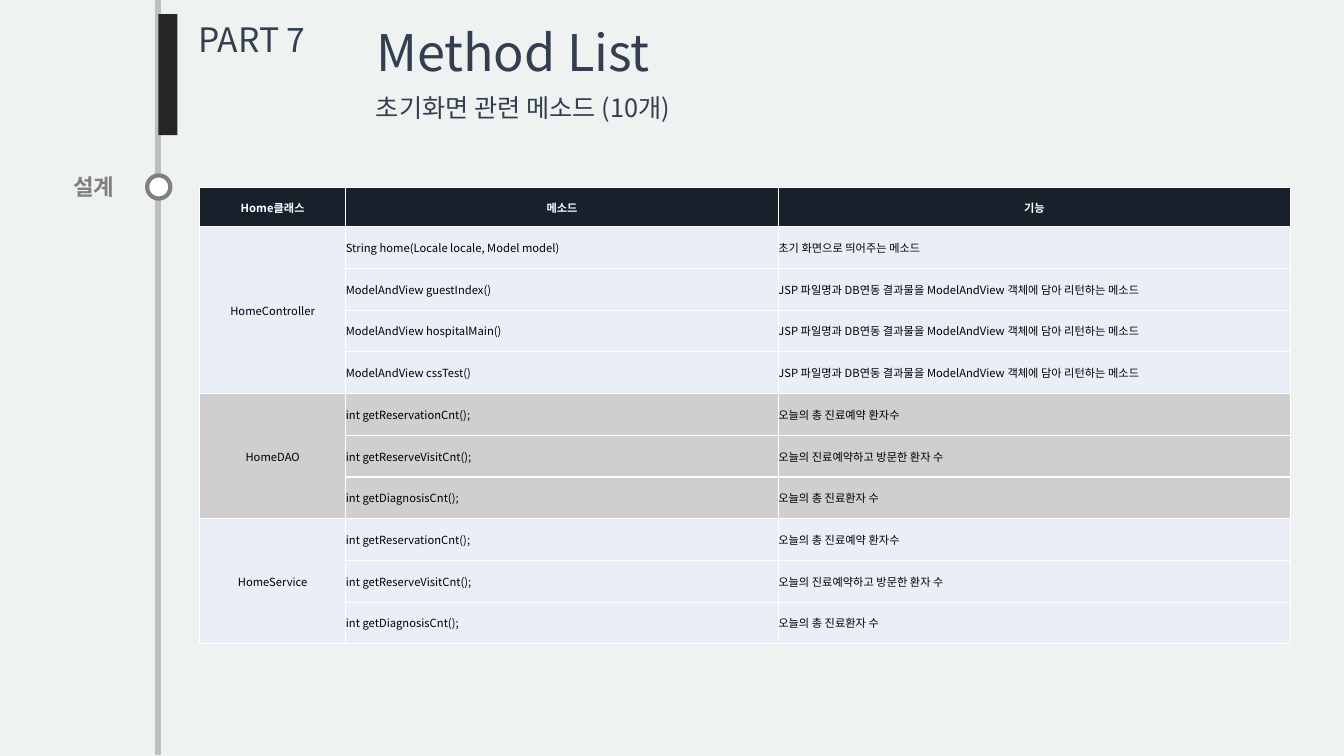
"""Build the Method List slide: a timeline rail, headings and a table of methods per class."""
from lxml import etree
from pptx import Presentation
from pptx import util as u
from pptx.dml.color import RGBColor
from pptx.enum import shapes, text
from pptx.oxml.ns import qn

FONT = "Noto Sans CJK KR"
BACK = RGBColor(0xEE, 0xF2, 0xF0)
RAIL = RGBColor(0xBF, 0xBF, 0xBF)
RING = RGBColor(0x80, 0x80, 0x80)
LABEL = RGBColor(0x7F, 0x7F, 0x7F)
BAR = RGBColor(0x26, 0x26, 0x26)
NAVY = RGBColor(0x33, 0x3F, 0x50)
HEAD = RGBColor(0x18, 0x20, 0x2C)
BLUE = RGBColor(0xEA, 0xEF, 0xF7)
GRAY = RGBColor(0xD0, 0xCE, 0xCE)
WHITE = RGBColor(0xFF, 0xFF, 0xFF)
BLACK = RGBColor(0, 0, 0)

TITLE = ("Method List", (3.63, 0.16, 2.94, 1.31), 36, NAVY, False, False)
LABELS = [
    ("설계", (0.63, 1.67, 0.65, 0.37), 16, LABEL, True, False),
    ("PART 7", (1.87, 0.14, 1.27, 0.5), 24, NAVY, False, False),
    ("초기화면 관련 메소드 (10개)", (3.63, 0.87, 5.13, 0.4), 18, NAVY, False, True),
]
HEADER = ("Home클래스", "메소드", "기능")
VIEW = "JSP 파일명과 DB연동 결과물을 ModelAndView 객체에 담아 리턴하는 메소드"
COUNTS = [
    ("int getReservationCnt();", "오늘의 총 진료예약 환자수"),
    ("int getReserveVisitCnt();", "오늘의 진료예약하고 방문한 환자 수"),
    ("int getDiagnosisCnt();", "오늘의 총 진료환자 수"),
]
CLASSES = [
    ("HomeController", BLUE, [
        ("String home(Locale locale, Model model)", "초기 화면으로 띄어주는 메소드"),
        ("ModelAndView guestIndex()", VIEW),
        ("ModelAndView hospitalMain()", VIEW),
        ("ModelAndView cssTest()", VIEW),
    ]),
    ("HomeDAO", GRAY, COUNTS),
    ("HomeService", BLUE, COUNTS),
]
TABLE_BOX = (1.98, 1.86, 10.83, 4.53)
COLUMNS = (1.45, 4.29, 5.08)
HEAD_ROW = 0.39
RAIL_X = 1.57


def inches(box):
    return [u.Inches(v) for v in box]


def style(p, size, color, bold=False):
    for r in p.runs:
        r.font.size, r.font.bold, r.font.name = u.Pt(size), bold, FONT
        r.font.color.rgb = color
        etree.SubElement(r.font._element, qn("a:ea"), typeface=FONT)


def write(sp, label, box, size, color, bold, wrap):
    sp.left, sp.top, sp.width, sp.height = inches(box)
    tf = sp.text_frame
    tf.text = label
    tf.word_wrap = wrap
    tf.auto_size = text.MSO_AUTO_SIZE.NONE
    tf.vertical_anchor = text.MSO_ANCHOR.TOP
    tf.paragraphs[0].alignment = text.PP_ALIGN.LEFT
    style(tf.paragraphs[0], size, color, bold)


def add_shape(s, kind, box, fill, line=None):
    sp = s.shapes.add_shape(kind, *inches(box))
    sp.shadow.inherit = False
    sp.fill.solid()
    sp.fill.fore_color.rgb = fill
    if line is None:
        sp.line.fill.background()
    else:
        sp.line.color.rgb, sp.line.width = line, u.Pt(3)


def fill_cell(cell, label, fill, color=BLACK, bold=False, centred=False):
    cell.text = label
    cell.vertical_anchor = text.MSO_ANCHOR.MIDDLE
    cell.margin_left = cell.margin_right = cell.margin_top = cell.margin_bottom = 0
    cell.fill.solid()
    cell.fill.fore_color.rgb = fill
    p = cell.text_frame.paragraphs[0]
    p.alignment = text.PP_ALIGN.CENTER if centred else text.PP_ALIGN.LEFT
    style(p, 8, color, bold)
    tc_pr = cell._tc.get_or_add_tcPr()
    for i, side in enumerate(("a:lnL", "a:lnR", "a:lnT", "a:lnB")):
        ln = etree.Element(qn(side), w=str(u.Pt(1)))
        solid = etree.SubElement(ln, qn("a:solidFill"))
        etree.SubElement(solid, qn("a:srgbClr"), val=str(WHITE))
        tc_pr.insert(i, ln)


def add_methods(s):
    count = sum(len(methods) for _, _, methods in CLASSES)
    table = s.shapes.add_table(count + 1, len(COLUMNS), *inches(TABLE_BOX)).table
    for column, width in zip(table.columns, COLUMNS):
        column.width = u.Inches(width)
    for row in table.rows:
        row.height = u.Inches((TABLE_BOX[3] - HEAD_ROW) / count)
    table.rows[0].height = u.Inches(HEAD_ROW)
    for col, label in enumerate(HEADER):
        fill_cell(table.cell(0, col), label, HEAD, WHITE, True, True)
    top = 1
    for name, fill, methods in CLASSES:
        for i, (method, purpose) in enumerate(methods):
            fill_cell(table.cell(top + i, 0), "" if i else name, fill, centred=True)
            fill_cell(table.cell(top + i, 1), method, fill)
            fill_cell(table.cell(top + i, 2), purpose, fill)
        table.cell(top, 0).merge(table.cell(top + len(methods) - 1, 0))
        top += len(methods)


def main():
    prs = Presentation()
    prs.slide_width, prs.slide_height = inches((13.33, 7.5))
    s = prs.slides.add_slide(prs.slide_layouts[5])
    s.background.fill.solid()
    s.background.fill.fore_color.rgb = BACK

    rail = s.shapes.add_connector(
        shapes.MSO_CONNECTOR.STRAIGHT, *inches((RAIL_X, 0, RAIL_X, 7.49)))
    rail.line.color.rgb, rail.line.width = RAIL, u.Pt(4.5)
    etree.SubElement(rail._element.spPr, qn("a:effectLst"))
    add_shape(s, shapes.MSO_SHAPE.OVAL, (1.46, 1.74, 0.23, 0.23), WHITE, RING)
    add_shape(s, shapes.MSO_SHAPE.RECTANGLE, (RAIL_X, 0.14, 0.19, 1.2), BAR)

    write(s.shapes.title, *TITLE)
    for label in LABELS:
        write(s.shapes.add_textbox(0, 0, 0, 0), *label)
    add_methods(s)
    prs.save("out.pptx")


if __name__ == "__main__":
    main()
